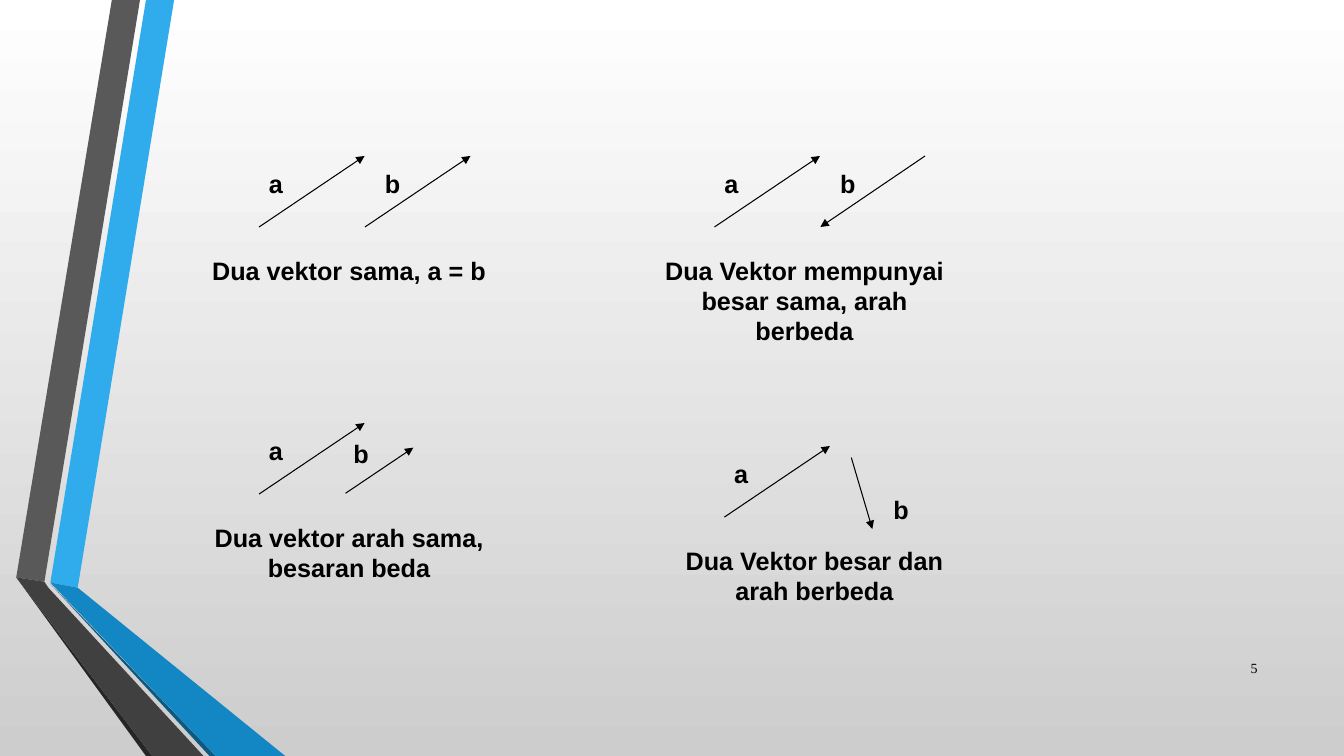
from typing import NamedTuple

from lxml import etree
from pptx import Presentation
from pptx.dml.color import RGBColor
from pptx.enum.shapes import MSO_CONNECTOR
from pptx.enum.text import MSO_ANCHOR, PP_ALIGN
from pptx.oxml.ns import qn
from pptx.slide import Slide
from pptx.util import Cm, Pt

LINE = MSO_CONNECTOR.STRAIGHT
TOP, MIDDLE = MSO_ANCHOR.TOP, MSO_ANCHOR.MIDDLE
LEFT, CENTER, RIGHT = PP_ALIGN.LEFT, PP_ALIGN.CENTER, PP_ALIGN.RIGHT

BLACK = RGBColor(0x00, 0x00, 0x00)
WHITE = RGBColor(0xFF, 0xFF, 0xFF)
SILVER = RGBColor(0xCD, 0xCD, 0xCD)
SKY = RGBColor(0x30, 0xAC, 0xEC)
BLUE = RGBColor(0x12, 0x87, 0xC3)
NAVY = RGBColor(0x0C, 0x5A, 0x82)
GRAY = RGBColor(0x59, 0x59, 0x59)
SLATE = RGBColor(0x40, 0x40, 0x40)
COAL = RGBColor(0x26, 0x26, 0x26)

WIDTH, HEIGHT = 33.88, 19.05
ROW = 1.02

Point = tuple[float, float]


class Band(NamedTuple):
    color: RGBColor
    points: list[Point]


class Panel(NamedTuple):
    origin: Point
    tail: Point
    tip: Point
    label: Point
    caption: str
    rows: int


class Style(NamedTuple):
    font: str
    size: int
    bold: bool
    align: PP_ALIGN
    anchor: MSO_ANCHOR


BANDS = [
    Band(SKY, [(1.27, 14.68), (1.96, 14.81), (4.39, 0), (3.68, 0)]),
    Band(GRAY, [(3.53, 0), (2.82, 0), (0.41, 14.55), (1.12, 14.66)]),
    Band(COAL, [(0.41, 14.55), (3.68, HEIGHT), (3.84, HEIGHT)]),
    Band(NAVY, [(1.27, 14.71), (5.28, HEIGHT), (5.44, HEIGHT)]),
    Band(BLUE, [(1.27, 14.68), (5.44, HEIGHT), (7.19, HEIGHT), (1.96, 14.81)]),
    Band(SLATE, [(5.13, HEIGHT), (1.22, 14.81), (1.12, 14.66), (0.41, 14.55),
                 (3.84, HEIGHT)]),
]

A_TIP = (2.66, -1.79)
A_LABEL = (0, -1.6)
CAPTION = (-1.86, 0.58)

PANELS = [
    Panel((6.53, 5.72), (2.67, 0), (5.33, -1.79), (2.92, -1.6),
          "Dua vektor sama, a = b", 1),
    Panel((18.01, 5.72), (5.31, -1.79), (2.67, 0), (2.92, -1.6),
          "Dua Vektor mempunyai besar sama, arah berbeda", 3),
    Panel((6.53, 12.45), (2.18, -0.02), (3.89, -1.17), (2.13, -1.52),
          "Dua vektor arah sama, besaran beda", 2),
    Panel((18.26, 13.03), (3.2, -1.5), (3.73, 0.3), (4.01, -0.71),
          "Dua Vektor besar dan arah berbeda", 2),
]

LABEL = Style("Arial", 18, True, LEFT, TOP)
TITLE = Style("Arial", 18, True, CENTER, TOP)
NUMBER = Style("Times New Roman", 10, False, RIGHT, MIDDLE)


def shift(base: Point, by: Point) -> Point:
    return base[0] + by[0], base[1] + by[1]


def add_band(slide: Slide, band: Band) -> None:
    first, *rest = [(Cm(x), Cm(y)) for x, y in band.points]
    path = slide.shapes.build_freeform(*first)
    path.add_line_segments(rest)
    shape = path.convert_to_shape()
    shape.shadow.inherit = False
    shape.fill.solid()
    shape.fill.fore_color.rgb = band.color
    shape.line.fill.background()


def add_arrow(slide: Slide, tail: Point, tip: Point) -> None:
    arrow = slide.shapes.add_connector(LINE, *map(Cm, tail + tip))
    arrow.line.color.rgb = BLACK
    arrow.line.width = Pt(0.75)
    props = arrow.element.spPr
    etree.SubElement(props.find(qn("a:ln")), qn("a:tailEnd"), type="triangle")
    etree.SubElement(props, qn("a:effectLst"))


def add_text(slide: Slide, text: str, at: Point, size: Point, style: Style) -> None:
    frame = slide.shapes.add_textbox(*map(Cm, at + size)).text_frame
    frame.word_wrap = True
    frame.vertical_anchor = style.anchor
    para = frame.paragraphs[0]
    para.text = text
    para.alignment = style.align
    para.font.name = style.font
    para.font.size = Pt(style.size)
    para.font.bold = style.bold
    para.font.color.rgb = BLACK


def add_panel(slide: Slide, panel: Panel) -> None:
    base = panel.origin
    add_arrow(slide, base, shift(base, A_TIP))
    add_arrow(slide, shift(base, panel.tail), shift(base, panel.tip))
    for text, by in (("a", A_LABEL), ("b", panel.label)):
        add_text(slide, text, shift(base, by), (2.13, ROW), LABEL)
    size = (8.26, 0.25 + 0.77 * panel.rows)
    add_text(slide, panel.caption, shift(base, CAPTION), size, TITLE)


def paint(slide: Slide) -> None:
    fill = slide.background.fill
    fill.gradient()
    fill.gradient_angle = 270
    for stop, place, color in zip(fill.gradient_stops, (0, 1), (WHITE, SILVER)):
        stop.position = place
        stop.color.rgb = color


def main() -> None:
    deck = Presentation()
    deck.slide_width, deck.slide_height = Cm(WIDTH), Cm(HEIGHT)
    slide = deck.slides.add_slide(deck.slide_layouts[6])
    paint(slide)
    for band in BANDS:
        add_band(slide, band)
    add_text(slide, "5", (30.43, 16.33), (1.52, ROW), NUMBER)
    for panel in PANELS:
        add_panel(slide, panel)
    deck.save("out.pptx")


if __name__ == "__main__":
    main()
